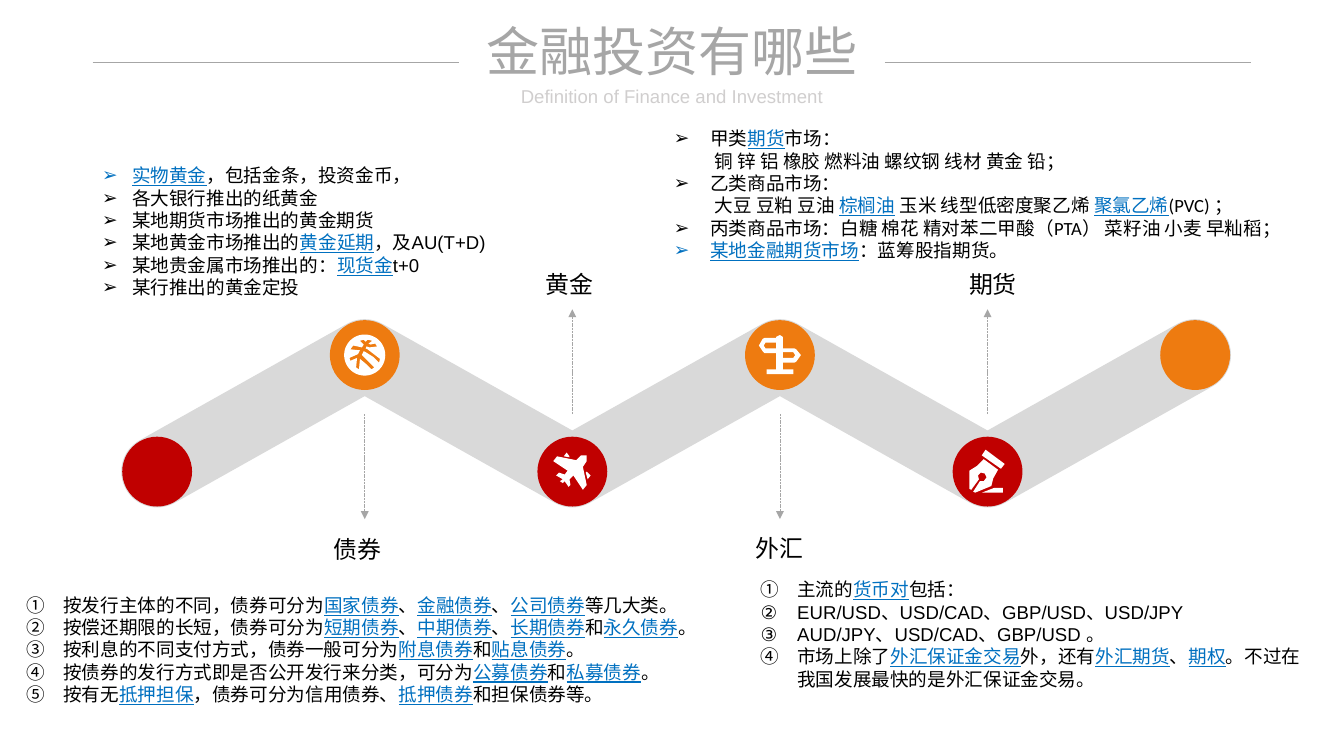
import math

import pptx
import pptx.dml.color
import pptx.enum.dml
import pptx.enum.shapes
import pptx.enum.text
import pptx.oxml
import pptx.oxml.ns
import pptx.util

Pt = pptx.util.Pt
RGBColor = pptx.dml.color.RGBColor
ALIGN = pptx.enum.text.PP_ALIGN
ANCHOR = pptx.enum.text.MSO_ANCHOR

BLACK = RGBColor(0x00, 0x00, 0x00)
WHITE = RGBColor(0xFF, 0xFF, 0xFF)
GREY = RGBColor(0xA6, 0xA6, 0xA6)
PALE = RGBColor(0xD0, 0xCE, 0xCE)
BAND = RGBColor(0xD9, 0xD9, 0xD9)
RED = RGBColor(0xC0, 0x00, 0x00)
ORANGE = RGBColor(0xEE, 0x7B, 0x10)
BLUE = RGBColor(0x00, 0x70, 0xC0)

# Zigzag: six nodes at equal steps, low and high in turn
NODE_X, STEP = 118.4, 156.4
LOW, HIGH = 355.3, 267.5
NODES = [(NODE_X + STEP * i, HIGH if i % 2 else LOW) for i in range(6)]
DISC, BAND_RADIUS = 52.6, 27
ARROW_START, ARROW_LENGTH = 312, 79
ICON_UNIT = 0.72

ARROW_BULLET = '<a:buChar {} char="➢"/>'
NUMBER_BULLET = '<a:buAutoNum {} type="circleNumDbPlain"/>'
NO_BULLET = '<a:buNone {}/>'

# Lists: text between bars is a linked term, a leading ">" is a line without bullet
BONDS = [
    "按发行主体的不同，债券可分为|国家债券|、|金融债券|、|公司债券|等几大类。",
    "按偿还期限的长短，债券可分为|短期债券|、|中期债券|、|长期债券|和|永久债券|。",
    "按利息的不同支付方式，债券一般可分为|附息债券|和|贴息债券|。",
    "按债券的发行方式即是否公开发行来分类，可分为|公募债券|和|私募债券|。",
    "按有无|抵押担保|，债券可分为信用债券、|抵押债券|和担保债券等。",
]
GOLD = [
    "|实物黄金|，包括金条，投资金币，",
    "各大银行推出的纸黄金",
    "某地期货市场推出的黄金期货",
    "某地黄金市场推出的|黄金延期|，及AU(T+D)",
    "某地贵金属市场推出的：|现货金|t+0",
    "某行推出的黄金定投",
]
CURRENCY = [
    "主流的|货币对|包括：",
    "EUR/USD、USD/CAD、GBP/USD、USD/JPY",
    "AUD/JPY、USD/CAD、GBP/USD 。",
    "市场上除了|外汇保证金交易|外，还有|外汇期货|、|期权|。不过在我国发展最快的是外汇保证金交易。",
]
FUTURES = [
    "甲类|期货|市场：",
    ">铜 锌 铝 橡胶 燃料油 螺纹钢 线材 黄金 铅；",
    "乙类商品市场：",
    ">大豆 豆粕 豆油 |棕榈油| 玉米 线型低密度聚乙烯 |聚氯乙烯|(PVC) ；",
    "丙类商品市场：白糖 棉花 精对苯二甲酸（PTA） 菜籽油 小麦 早籼稻；",
    "|某地金融期货市场|：蓝筹股指期货。",
]


def arc(x, y, radius, start, end, step=5):
    count = max(1, round(abs(end - start) / step))
    angles = [math.radians(start + (end - start) * i / count) for i in range(count + 1)]
    return [(x + radius * math.cos(a), y - radius * math.sin(a)) for a in angles]


# Icon outlines around the centre of their disc
BALL = [arc(0, 0, 21.5, 0, 355), [
    (-12, -10), (-15, -6), (-5, -5), (-7, -1), (-16, 3), (-15, 6), (-8, 3), (-9, 13),
    (-6, 15), (-5, 4), (1, 9), (7, 15), (10, 13), (4, 7), (-3, 0), (-1, -4), (1, -3),
    (9, 2), (15, 8), (16, 4), (3, -6), (1, -7), (2, -9), (5, -8), (13, -9), (11, -12),
    (6, -11), (4, -12), (8, -15), (3, -16), (1, -14), (-1, -16), (-5, -15), (-1, -11), (-3, -8)]]
SIGNPOST = [
    [(3, -7), (15, -7), (17, -6), (22, 0), (17, 7), (15, 8), (3, 8), (3, 15), (14, 15),
     (14, 20), (-14, 20), (-14, 15), (-4, 15), (-4, -2), (-16, -2), (-18, -4), (-22, -10),
     (-18, -17), (-16, -18), (-4, -18), (-4, -19), (0, -21), (3, -19)],
    [(-4, -13), (-15, -13), (-17, -10), (-15, -7), (-4, -7)],
    [(14, -3), (3, -3), (3, 3), (14, 3), (16, 0)]]
PLANE = [
    [(15, -17), (15, -11), (11, -5), (15, 14), (11, 19), (1, 4), (-3, 8), (-2, 14), (-4, 16),
     (-8, 10), (-10, 12), (-13, 10), (-10, 8), (-17, 4), (-14, 1), (-8, 3), (-5, -1),
     (-20, -11), (-16, -16), (4, -12), (9, -17)],
    [(19, 4), (15, 0), (14, 1), (16, 8)],
    [(-6, -20), (-9, -16), (-3, -15), (-3, -16)]]
PEN = [
    [(-17, 19), (-19, 18), (-19, -1), (-11, -6), (-4, -13), (11, -2), (6, 7), (4, 15),
     (-13, 22), (-15, 21), (-8, 10), (-4, 10), (-1, 6), (-3, 2), (-7, 1), (-10, 4), (-9, 8)],
    [(-6, 22), (16, 22), (16, 17), (7, 17)],
    [(14, -3), (18, -8), (-2, -23), (-6, -17)]]


def set_values(target, values):
    for name, value in values.items():
        setattr(target, name, value)


def add_run(p, text, size, font, color, underline=False):
    r = p.add_run()
    r.text = text
    set_values(r.font, {"size": Pt(size), "name": font, "bold": False, "underline": underline})
    r.font.color.rgb = color


def place(sp, box, anchor, inset_x, inset_y):
    set_values(sp, dict(zip(("left", "top", "width", "height"), map(Pt, box))))
    set_values(sp.text_frame, {
        "word_wrap": True, "vertical_anchor": anchor,
        "auto_size": pptx.enum.text.MSO_AUTO_SIZE.NONE,
        "margin_left": Pt(inset_x), "margin_right": Pt(inset_x),
        "margin_top": Pt(inset_y), "margin_bottom": Pt(inset_y)})


def fill_line(sp, box, text, size, color, font="Arial", inset=(0, 0)):
    place(sp, box, ANCHOR.MIDDLE, *inset)
    p = sp.text_frame.paragraphs[0]
    p.alignment = ALIGN.CENTER
    add_run(p, text, size, font, color)


def fill_list(sp, box, lines, font, bullet, indent):
    place(sp, box, ANCHOR.TOP, 7.2, 3.6)
    tf = sp.text_frame
    for i, line in enumerate(lines):
        p = tf.paragraphs[0] if i == 0 else tf.add_paragraph()
        plain = line.startswith(">")
        pPr = p._p.get_or_add_pPr()
        pPr.set("marL", str(Pt(31 if plain else indent)))
        pPr.set("indent", str(0 if plain else -Pt(indent)))
        mark = NO_BULLET if plain else bullet
        pPr.append(pptx.oxml.parse_xml(mark.format(pptx.oxml.ns.nsdecls("a"))))
        set_values(p, {"alignment": ALIGN.LEFT, "space_before": Pt(0), "line_spacing": 1.0})
        for j, text in enumerate(line.lstrip(">").split("|")):
            if text:
                linked = j % 2 == 1
                add_run(p, text, 14, font, BLUE if linked else BLACK, linked)


def paint(sp, color):
    sp.shadow.inherit = False
    sp.fill.solid()
    sp.fill.fore_color.rgb = color
    sp.line.fill.background()


def add_outline(s, contours, color, x=0, y=0, unit=1):
    scaled = [[(Pt(a * unit), Pt(b * unit)) for a, b in c] for c in contours]
    builder = s.shapes.build_freeform(*scaled[0][0], scale=1.0)
    for i, points in enumerate(scaled):
        if i:
            builder.move_to(*points[0])
        builder.add_line_segments(points[1:], close=True)
    paint(builder.convert_to_shape(Pt(x), Pt(y)), color)


def add_rule(s, x1, y1, x2, y2, arrow=False):
    line = s.shapes.add_connector(pptx.enum.shapes.MSO_CONNECTOR.STRAIGHT, *map(Pt, (x1, y1, x2, y2)))
    line.line.color.rgb = GREY
    line.line.width = Pt(0.5)
    ns = pptx.oxml.ns.nsdecls("a")
    if arrow:
        line.line.dash_style = pptx.enum.dml.MSO_LINE.SQUARE_DOT
        line.line._get_or_add_ln().append(pptx.oxml.parse_xml(f'<a:tailEnd {ns} type="triangle"/>'))
    line._element.spPr.append(pptx.oxml.parse_xml(f"<a:effectLst {ns}/>"))


def band_outline():
    slope = math.atan2(LOW - HIGH, STEP)
    tilt = math.degrees(slope)
    half = arc(*NODES[0], BAND_RADIUS, 270 + tilt, 90 + tilt)
    for x, y in NODES[1:5]:
        if y == HIGH:
            half += arc(x, y, BAND_RADIUS, 90 + tilt, 90 - tilt)
        else:
            half.append((x, y - BAND_RADIUS / math.cos(slope)))
    # The lower edge is the upper one turned by half a circle
    width, height = NODES[0][0] + NODES[5][0], LOW + HIGH
    return half + [(width - x, height - y) for x, y in half]


def main():
    prs = pptx.Presentation()
    prs.slide_width, prs.slide_height = Pt(1012.5), Pt(569.5)
    s = prs.slides.add_slide(prs.slide_layouts.get_by_name("Comparison"))
    title, bonds, gold, currency, futures = s.placeholders

    # Heading
    fill_line(title, (350.6, 13.7, 311, 48.2), "金融投资有哪些", 40, GREY)
    subtitle = s.shapes.add_textbox(0, 0, 0, 0)
    fill_line(subtitle, (0, 63.4, 1012.5, 17.3), "Definition of Finance and Investment", 14, PALE)
    for x in (69.8, 666.7):
        add_rule(s, x, 46.8, x + 275.8, 46.8)

    # Zigzag band with discs, icons and arrows
    add_outline(s, [band_outline()], BAND)
    for (x, y), icon in zip(NODES, (None, BALL, PLANE, SIGNPOST, PEN, None)):
        disc = s.shapes.add_shape(pptx.enum.shapes.MSO_SHAPE.OVAL, Pt(x - DISC / 2),
                                  Pt(y - DISC / 2), Pt(DISC), Pt(DISC))
        paint(disc, ORANGE if y == HIGH else RED)
        if icon:
            add_outline(s, icon, WHITE, x, y, ICON_UNIT)
            way = 1 if y == HIGH else -1
            add_rule(s, x, ARROW_START, x, ARROW_START + way * ARROW_LENGTH, arrow=True)

    # Labels at the arrow tips
    for text, x, y, font in (("债券", 269, 398.9, "Arial"), ("黄金", 429.1, 199.4, "Calibri"),
                             ("外汇", 587.5, 398.2, "Calibri"), ("期货", 748.1, 199.4, "Calibri")):
        label = s.shapes.add_textbox(0, 0, 0, 0)
        fill_line(label, (x - 36, y, 72, 28.8), text, 18, BLACK, font, (7.2, 3.6))

    # Lists
    fill_list(bonds, (13, 443.5, 536.4, 92.2), BONDS, "Arial", NUMBER_BULLET, 27.5)
    fill_list(gold, (69.8, 120.2, 321.8, 108.7), GOLD, "Arial", ARROW_BULLET, 22.5)
    fill_list(currency, (565.9, 432, 421.9, 113.8), CURRENCY, "Arial", NUMBER_BULLET, 27.5)
    fill_list(futures, (500.4, 92.2, 493.2, 108.7), FUTURES, "Calibri", ARROW_BULLET, 27.5)

    prs.save("out.pptx")


if __name__ == "__main__":
    main()
